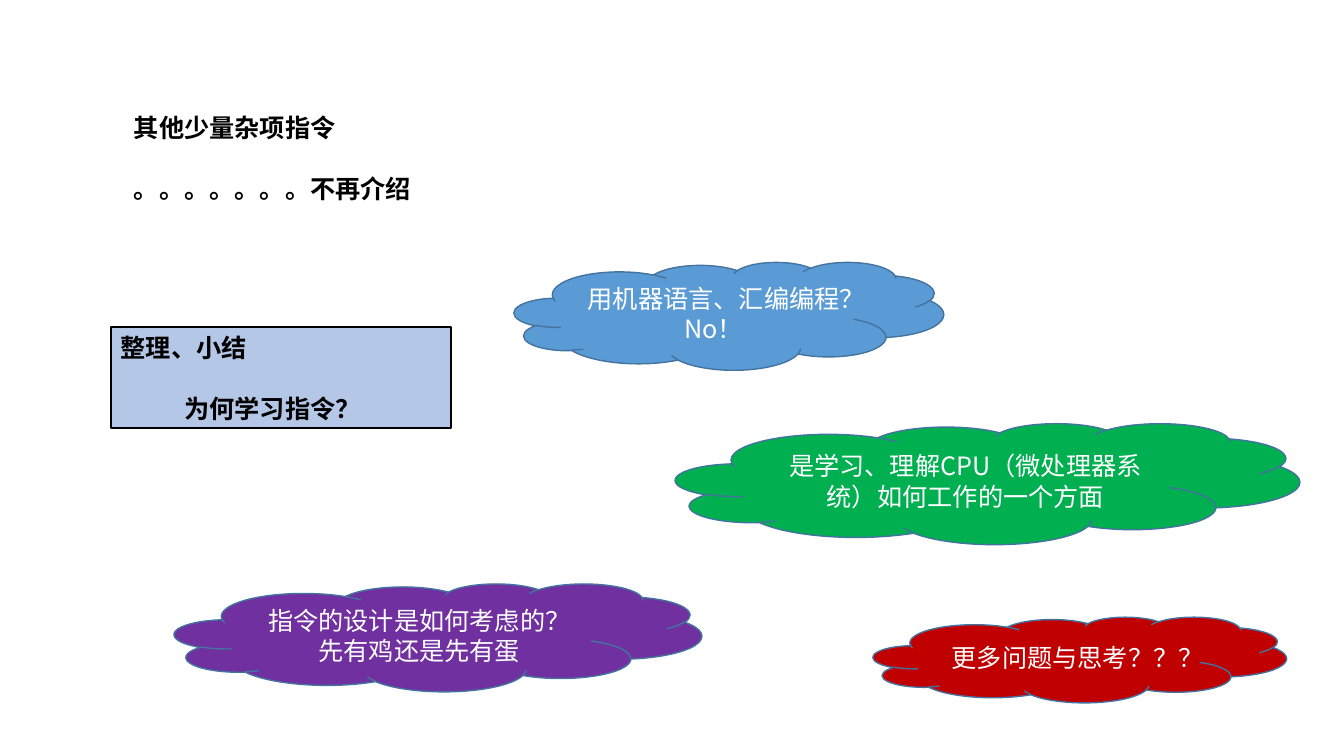
from dataclasses import dataclass

from lxml.etree import SubElement
from pptx import Presentation
from pptx.dml.color import RGBColor
from pptx.enum.shapes import MSO_SHAPE as Shape
from pptx.enum.text import MSO_ANCHOR as Anchor, PP_ALIGN as Align
from pptx.oxml.ns import qn
from pptx.shapes.autoshape import Shape as AutoShape
from pptx.slide import Slide
from pptx.util import Inches, Pt

BLACK = RGBColor(0x00, 0x00, 0x00)
WHITE = RGBColor(0xFF, 0xFF, 0xFF)
PALE_BLUE = RGBColor(0xB4, 0xC7, 0xE7)
BLUE = RGBColor(0x5B, 0x9B, 0xD5)
GREEN = RGBColor(0x00, 0xB0, 0x50)
PURPLE = RGBColor(0x70, 0x30, 0xA0)
RED = RGBColor(0xC0, 0x00, 0x00)
OUTLINE = RGBColor(0x43, 0x73, 0x9E)
LATIN_FONT = "Arial"
CHINESE_FONT = "Noto Sans CJK SC"
LINE_PITCH = Pt(21.8)


@dataclass(frozen=True)
class Box:
    left: float
    top: float
    width: float
    height: float

    def lengths(self) -> tuple:
        return tuple(map(Inches, (self.left, self.top, self.width, self.height)))


@dataclass(frozen=True)
class Cloud:
    box: Box
    color: RGBColor
    lines: tuple[str, ...]


CLOUDS = (
    Cloud(Box(5.1, 2.6, 4.26, 1.07), BLUE, ("用机器语言、汇编编程？", "No！")),
    Cloud(Box(6.7, 4.2, 6.19, 1.2), GREEN,
          ("是学习、理解CPU（微处理器系统）如何工作的一个方面",)),
    Cloud(Box(1.73, 5.79, 5.23, 1.07), PURPLE,
          ("指令的设计是如何考虑的？", "先有鸡还是先有蛋")),
    Cloud(Box(8.66, 6.12, 4.1, 0.85), RED, ("更多问题与思考？？？",)),
)


def write_text(shape: AutoShape, lines: tuple[str, ...], *, font: str = CHINESE_FONT,
               color: RGBColor = WHITE, bold: bool = False, align: Align = Align.CENTER,
               anchor: Anchor = Anchor.MIDDLE, gap: Pt = Pt(0),
               last_indent: float = 0) -> None:
    frame = shape.text_frame
    frame.word_wrap = True
    frame.vertical_anchor = anchor
    frame.text = "\n".join(lines)
    for index, paragraph in enumerate(frame.paragraphs):
        paragraph.alignment = align
        paragraph.line_spacing = LINE_PITCH
        if index:
            paragraph.space_before = gap
        for run in paragraph.runs:
            run.font.size = Pt(18)
            run.font.bold = bold
            run.font.color.rgb = color
            run.font.name = font
            SubElement(run.font._element, qn("a:ea"), typeface=CHINESE_FONT)
    if last_indent:
        properties = frame.paragraphs[-1]._p.get_or_add_pPr()
        properties.set("marL", str(Inches(last_indent)))


def add_filled_shape(slide: Slide, kind: Shape, box: Box, *, fill: RGBColor,
                     line: RGBColor, line_width: float) -> AutoShape:
    shape = slide.shapes.add_shape(kind, *box.lengths())
    shape.shadow.inherit = False
    shape.fill.solid()
    shape.fill.fore_color.rgb = fill
    shape.line.color.rgb = line
    shape.line.width = Pt(line_width)
    return shape


def add_note(shape: AutoShape, lines: tuple[str, ...], last_indent: float = 0) -> None:
    write_text(shape, lines, font=LATIN_FONT, color=BLACK, bold=True, align=Align.LEFT,
               anchor=Anchor.TOP, gap=LINE_PITCH, last_indent=last_indent)


def main() -> None:
    presentation = Presentation()
    presentation.slide_width = Inches(13.33)
    presentation.slide_height = Inches(7.5)
    slide = presentation.slides.add_slide(presentation.slide_layouts[6])

    summary = add_filled_shape(slide, Shape.RECTANGLE, Box(1.1, 3.24, 3.37, 1.01),
                               fill=PALE_BLUE, line=BLACK, line_width=1.5)
    add_note(summary, ("整理、小结", "为何学习指令？"), last_indent=0.63)

    remainder = slide.shapes.add_textbox(*Box(1.23, 1.06, 3.11, 1.01).lengths())
    add_note(remainder, ("其他少量杂项指令", "。。。。。。。不再介绍"))

    for cloud in CLOUDS:
        shape = add_filled_shape(slide, Shape.CLOUD, cloud.box, fill=cloud.color,
                                 line=OUTLINE, line_width=1)
        write_text(shape, cloud.lines)

    presentation.save("out.pptx")


if __name__ == "__main__":
    main()
